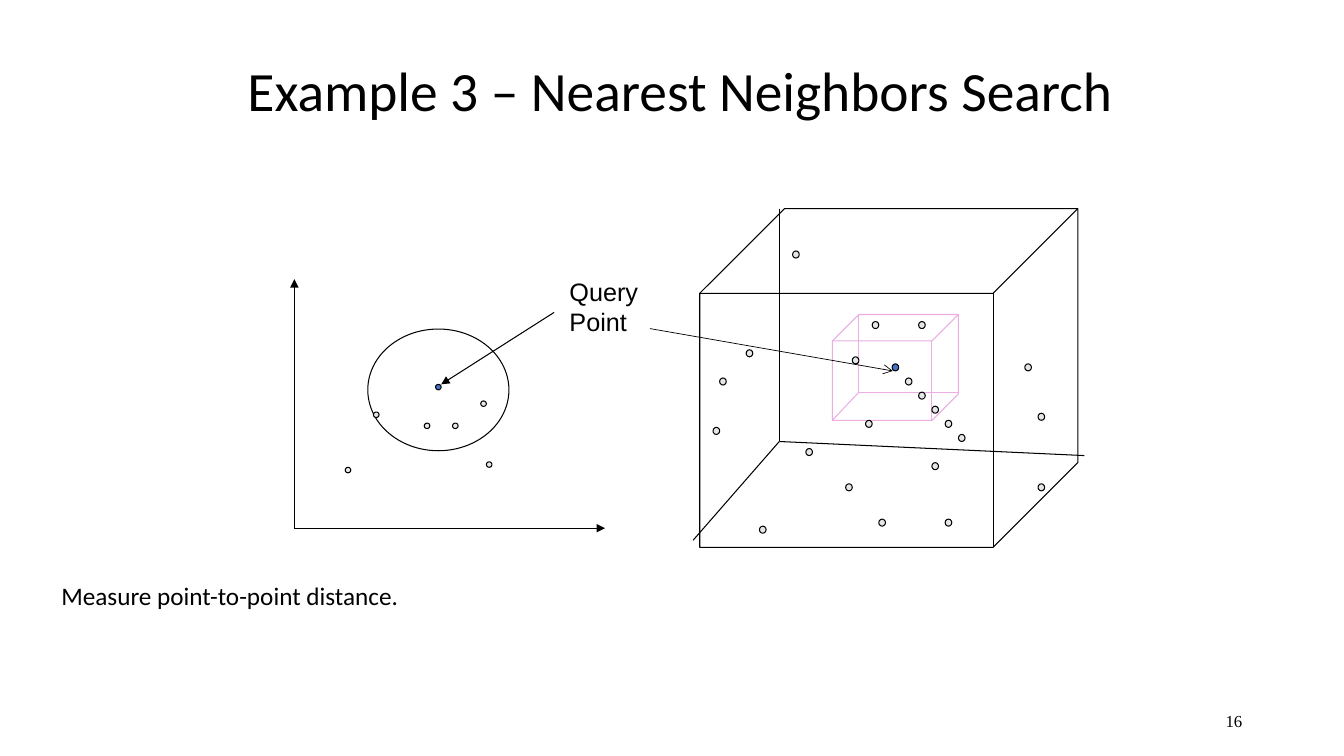
"""Build the nearest neighbors search slide: a 2D plot and a 3D cube of points."""
from dataclasses import dataclass

from lxml import etree
from pptx import Presentation
from pptx.dml.color import RGBColor
from pptx.enum import shapes, text
from pptx.oxml import ns
from pptx.util import Inches, Pt

TITLE = ("Example 3 – Nearest Neighbors Search", (2.17, 0.3, 9.15, 1.25))
QUERY_LABEL = ("Query\vPoint", (5.55, 2.69, 0.9, 0.71))
CAPTION = ("Measure point-to-point distance.", (0.51, 5.71, 6.67, 0.4))
PAGE_NUMBER = ("16", (9.42, 6.95, 3, 0.4))

PLOT_AXES = [((0, 45), (0, 0)), ((0, 45), (55, 45))]
PLOT_RANGE = (13, 9, 25, 22)
PLOT_QUERY = (25, 19)
PLOT_POINTS = [(9, 34), (34, 33), (14, 24), (33, 22), (28, 26), (23, 26)]
PLOT_ARROW = ((46, 6), (26, 19))

SPACE = (0, 0, 57, 48)
SPACE_EDGES = [((12, 0), (12, 33)), ((12, 33), (-1, 47)), ((12, 33), (58, 35))]
SPACE_RANGE = (20, 15, 19, 15)
RANGE_EDGES = [((24, 15), (24, 26)), ((24, 26), (20, 30)), ((24, 26), (39, 26))]
SPACE_QUERY = (29, 22)
SPACE_POINTS = [
    (31, 24), (33, 26), (35, 28), (37, 30), (39, 32), (26, 16), (33, 16), (49, 22),
    (25, 30), (23, 21), (7, 20), (16, 34), (27, 44), (3, 24), (2, 31), (51, 39),
    (51, 29), (22, 39), (14, 6), (37, 44), (9, 45), (35, 36),
]
SPACE_ARROW = ((-7.5, 17), (29.1, 23))


@dataclass(frozen=True)
class Theme:
    ink: str = "000000"
    query: str = "4472C4"
    point: str = "E7E6E6"
    search: str = "EBADE2"
    title: float = 39.6
    body: float = 18
    small: float = 12
    line: float = 0.75
    thin: float = 0.5
    heading: str = "Calibri"
    label: str = "Arial"
    number: str = "Times New Roman"


@dataclass(frozen=True)
class Grid:
    left: float
    top: float
    width: float
    height: float
    columns: int
    rows: int

    def at(self, column, row):
        return (Inches(self.left + column * self.width / self.columns),
                Inches(self.top + row * self.height / self.rows))

    def box(self, column, row, columns=1, rows=1):
        left, top = self.at(column, row)
        right, bottom = self.at(column + columns, row + rows)
        return left, top, right - left, bottom - top


THEME = Theme()
PLOT = Grid(2.92, 2.77, 3.08, 2.47, 55, 45)
CUBE = Grid(6.94, 2.07, 3.75, 3.36, 57, 48)


def apply(target, **values):
    for name, value in values.items():
        setattr(target, name, value)


def write(frame, words, size, font, **layout):
    frame.text = words
    apply(frame, word_wrap=True, **layout)
    for run in frame.paragraphs[0].runs:
        apply(run.font, size=Pt(size), name=font)
        run.font.color.rgb = RGBColor.from_string(THEME.ink)


def add_text(slide, content, size, font, **layout):
    words, box = content
    frame = slide.shapes.add_textbox(*map(Inches, box)).text_frame
    write(frame, words, size, font, **layout)
    return frame


def add_outline(slide, preset, box, color=THEME.ink, fill=None):
    outline = slide.shapes.add_shape(preset, *box)
    outline.shadow.inherit = False
    outline.line.color.rgb = RGBColor.from_string(color)
    outline.line.width = Pt(THEME.line)
    if fill:
        outline.fill.solid()
        outline.fill.fore_color.rgb = RGBColor.from_string(fill)
    else:
        outline.fill.background()


def add_line(slide, grid, ends, color=THEME.ink, width=THEME.line, head=None):
    start, end = ends
    line = slide.shapes.add_connector(
        shapes.MSO_CONNECTOR.STRAIGHT, *grid.at(*start), *grid.at(*end))
    line.line.color.rgb = RGBColor.from_string(color)
    line.line.width = Pt(width)
    if head:
        etree.SubElement(line.line._get_or_add_ln(), ns.qn("a:tailEnd"), type=head)
    etree.SubElement(line._element.spPr, ns.qn("a:effectLst"))


def add_points(slide, grid, query, points):
    for point in [query, *points]:
        fill = THEME.query if point == query else THEME.point
        add_outline(slide, shapes.MSO_SHAPE.FLOWCHART_CONNECTOR,
                    grid.box(*point), fill=fill)


def draw_plot(slide):
    for axis in PLOT_AXES:
        add_line(slide, PLOT, axis, head="triangle")
    add_outline(slide, shapes.MSO_SHAPE.OVAL, PLOT.box(*PLOT_RANGE))
    add_points(slide, PLOT, PLOT_QUERY, PLOT_POINTS)
    add_line(slide, PLOT, PLOT_ARROW, head="triangle")


def draw_cube(slide):
    for box, edges, color in [(SPACE, SPACE_EDGES, THEME.ink),
                              (SPACE_RANGE, RANGE_EDGES, THEME.search)]:
        add_outline(slide, shapes.MSO_SHAPE.CUBE, CUBE.box(*box), color)
        for edge in edges:
            add_line(slide, CUBE, edge, color)
    add_points(slide, CUBE, SPACE_QUERY, SPACE_POINTS)
    add_line(slide, CUBE, SPACE_ARROW, width=THEME.thin, head="arrow")


def main():
    deck = Presentation()
    apply(deck, slide_width=Inches(13.33), slide_height=Inches(7.5))
    slide = deck.slides.add_slide(deck.slide_layouts[5])

    words, box = TITLE
    title = slide.shapes.title
    apply(title, **dict(zip(("left", "top", "width", "height"), map(Inches, box))))
    write(title.text_frame, words, THEME.title, THEME.heading,
          vertical_anchor=text.MSO_ANCHOR.MIDDLE)
    title.text_frame.paragraphs[0].line_spacing = 0.9

    draw_plot(slide)
    add_text(slide, QUERY_LABEL, THEME.body, THEME.label)
    draw_cube(slide)
    add_text(slide, CAPTION, THEME.body, THEME.heading)
    number = add_text(slide, PAGE_NUMBER, THEME.small, THEME.number,
                      vertical_anchor=text.MSO_ANCHOR.MIDDLE)
    number.paragraphs[0].alignment = text.PP_ALIGN.RIGHT
    deck.save("out.pptx")


if __name__ == "__main__":
    main()
